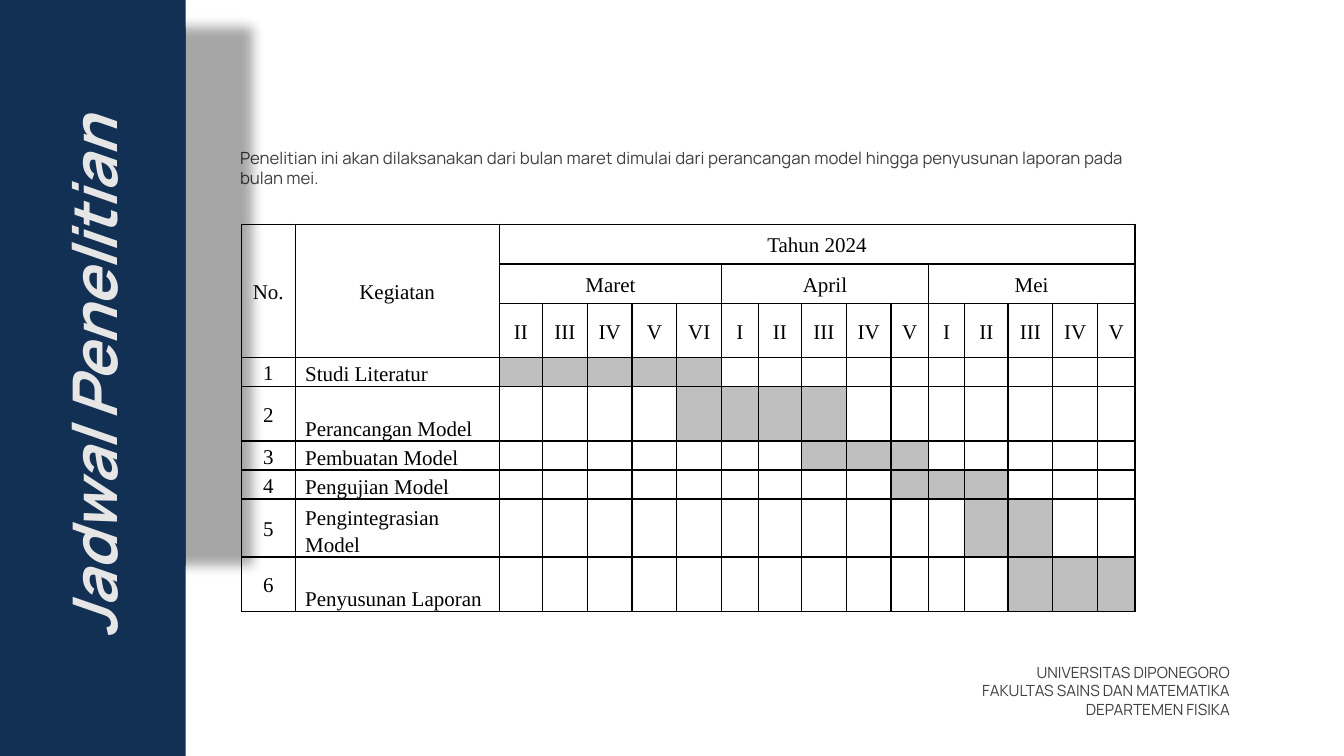
from lxml import etree
from pptx import Presentation
from pptx.dml.color import RGBColor
from pptx.enum.shapes import MSO_SHAPE
from pptx.enum.text import MSO_ANCHOR, MSO_AUTO_SIZE, PP_ALIGN
from pptx.oxml import parse_xml
from pptx.oxml.ns import nsdecls, qn
from pptx.util import Cm, Pt

RECTANGLE = MSO_SHAPE.RECTANGLE
MIDDLE, BOTTOM = MSO_ANCHOR.MIDDLE, MSO_ANCHOR.BOTTOM
LEFT, CENTER, RIGHT = PP_ALIGN.LEFT, PP_ALIGN.CENTER, PP_ALIGN.RIGHT
JUSTIFY = PP_ALIGN.JUSTIFY
NO_AUTOFIT = MSO_AUTO_SIZE.NONE
TITLE_ONLY = 5

COLORS = {"navy": "113054", "title": "E7E6E6", "body": "404040",
          "ink": "000000", "active": "BFBFBF"}
BODY_FONT, TABLE_FONT = "Manrope", "Times New Roman"
TABLE_SIZE = 15

# Schedule: months with their weeks and column widths in cm
SHORT_MONTH = [("I", 0.92), ("II", 1.09), ("III", 1.13), ("IV", 1.13), ("V", 0.94)]
MONTHS = {
    "Maret": [("II", 1.09), ("III", 1.13), ("IV", 1.13), ("V", 1.13), ("VI", 1.13)],
    "April": SHORT_MONTH,
    "Mei": SHORT_MONTH,
}
WEEKS = [week for weeks in MONTHS.values() for week in weeks]
HEADER_HEIGHTS = [1.0, 0.99, 1.36]
# Activity, first week, number of weeks, row height in cm
ACTIVITIES = [
    ("Studi Literatur", 0, 5, 0.66),
    ("Perancangan Model", 4, 4, 1.38),
    ("Pembuatan Model", 7, 3, 0.66),
    ("Pengujian Model", 9, 3, 0.66),
    ("Pengintegrasian Model", 11, 2, 1.38),
    ("Penyusunan Laporan", 12, 3, 1.37),
]


def rgb(name):
    return RGBColor.from_string(COLORS[name])


def style_text(frame, font, size, color, align):
    for para in frame.paragraphs:
        para.alignment = align
        for span in para.runs:
            span.font.name = font
            span.font.size = Pt(size)
            span.font.color.rgb = rgb(color)


def add_text(page, box, text, size, align):
    frame = page.shapes.add_textbox(*map(Cm, box)).text_frame
    frame.word_wrap = True
    frame.text = text
    style_text(frame, BODY_FONT, size, "body", align)


def format_cell(cell, text="", align=CENTER, anchor=MIDDLE, padding=0.0, active=False):
    cell.margin_left = cell.margin_right = Cm(0.25)
    cell.margin_top = cell.margin_bottom = Cm(padding)
    cell.vertical_anchor = anchor
    para = cell.text_frame.paragraphs[0]
    para.line_spacing = 1.15
    if text:
        para.text = text
        style_text(cell.text_frame, TABLE_FONT, TABLE_SIZE, "ink", align)
    else:
        # Keeps empty cells as low as the text beside them
        etree.SubElement(para._p, qn("a:endParaRPr"), sz=str(TABLE_SIZE * 100))
    properties = cell._tc.get_or_add_tcPr()
    for side in ("lnL", "lnR", "lnT", "lnB"):
        properties.append(parse_xml(
            f'<a:{side} {nsdecls("a")} w="12700"><a:solidFill>'
            f'<a:srgbClr val="{COLORS["ink"]}"/></a:solidFill></a:{side}>'))
    if active:
        cell.fill.solid()
        cell.fill.fore_color.rgb = rgb("active")
    else:
        cell.fill.background()


def add_schedule(page, box):
    widths = [1.36, 5.14] + [width for _, width in WEEKS]
    heights = HEADER_HEIGHTS + [activity[3] for activity in ACTIVITIES]
    table = page.shapes.add_table(len(heights), len(widths), *map(Cm, box)).table
    table.first_row = table.horz_banding = False
    for column, width in zip(table.columns, widths):
        column.width = Cm(width)
    for row, height in zip(table.rows, heights):
        row.height = Cm(height)

    # Header texts by row and column
    texts = {(0, 0): "No.", (0, 1): "Kegiatan", (0, 2): "Tahun 2024"}
    merges = [(0, 0, 2, 0), (0, 1, 2, 1), (0, 2, 0, len(widths) - 1)]
    first = 2
    for month, weeks in MONTHS.items():
        texts[1, first] = month
        merges.append((1, first, 1, first + len(weeks) - 1))
        first += len(weeks)
    for column, (week, _) in enumerate(WEEKS, 2):
        texts[2, column] = week
    for row in range(len(HEADER_HEIGHTS)):
        for column in range(len(widths)):
            format_cell(table.cell(row, column), texts.get((row, column), ""),
                        padding=0.13 if row < 2 else 0)
    for top, left, bottom, right in merges:
        table.cell(top, left).merge(table.cell(bottom, right))

    # Activities and their weeks
    for number, (name, start, count, _) in enumerate(ACTIVITIES, 1):
        row = len(HEADER_HEIGHTS) + number - 1
        format_cell(table.cell(row, 0), str(number))
        format_cell(table.cell(row, 1), name, LEFT, BOTTOM)
        for week in range(len(WEEKS)):
            format_cell(table.cell(row, week + 2),
                        active=start <= week < start + count)


def add_navy_block(page, box):
    block = page.shapes.add_shape(RECTANGLE, *map(Cm, box))
    block.shadow.inherit = False
    block.fill.solid()
    block.fill.fore_color.rgb = rgb("navy")
    block.line.fill.background()
    return block


def add_title_panel(page, box):
    left, top, width, height = box
    # A shorter block behind the panel casts the soft shadow to the right
    caster = add_navy_block(page, (left, top + 0.69, width, 13.55))
    caster._element.spPr.find(qn("a:effectLst")).append(parse_xml(
        f'<a:outerShdw {nsdecls("a")} blurRad="114300" dist="596900" dir="0" '
        f'algn="l" rotWithShape="0"><a:srgbClr val="{COLORS["ink"]}">'
        '<a:alpha val="35000"/></a:srgbClr></a:outerShdw>'))
    panel = add_navy_block(page, box)

    # Title turned to read upwards, centred on the panel
    title = page.shapes.title
    panel._element.addnext(title._element)
    length, thickness = 14.65, 2.4
    title.left = Cm(left + (width - length) / 2)
    title.top = Cm(top + (height - thickness) / 2)
    title.width, title.height = Cm(length), Cm(thickness)
    title.rotation = 270
    frame = title.text_frame
    frame.text = "Jadwal Penelitian"
    frame.word_wrap = False
    frame.auto_size = NO_AUTOFIT
    frame.vertical_anchor = MIDDLE
    style_text(frame, BODY_FONT, 44, "title", CENTER)
    font = frame.paragraphs[0].runs[0].font
    font.bold = font.italic = True


def main():
    deck = Presentation()
    deck.slide_width, deck.slide_height = Cm(33.87), Cm(19.05)
    page = deck.slides.add_slide(deck.slide_layouts[TITLE_ONLY])
    add_text(page, (5.8, 3.6, 22.78, 1.28),
             "Penelitian ini akan dilaksanakan dari bulan maret dimulai dari "
             "perancangan model hingga penyusunan laporan pada bulan mei.", 12, JUSTIFY)
    add_schedule(page, (6.08, 5.65, 22.51, 9.5))
    add_title_panel(page, (0, 0, 4.68, 19.05))
    add_text(page, (20.63, 16.58, 10.62, 1.67),
             "UNIVERSITAS DIPONEGORO\nFAKULTAS SAINS DAN MATEMATIKA\nDEPARTEMEN FISIKA",
             11, RIGHT)
    deck.save("out.pptx")


if __name__ == "__main__":
    main()
